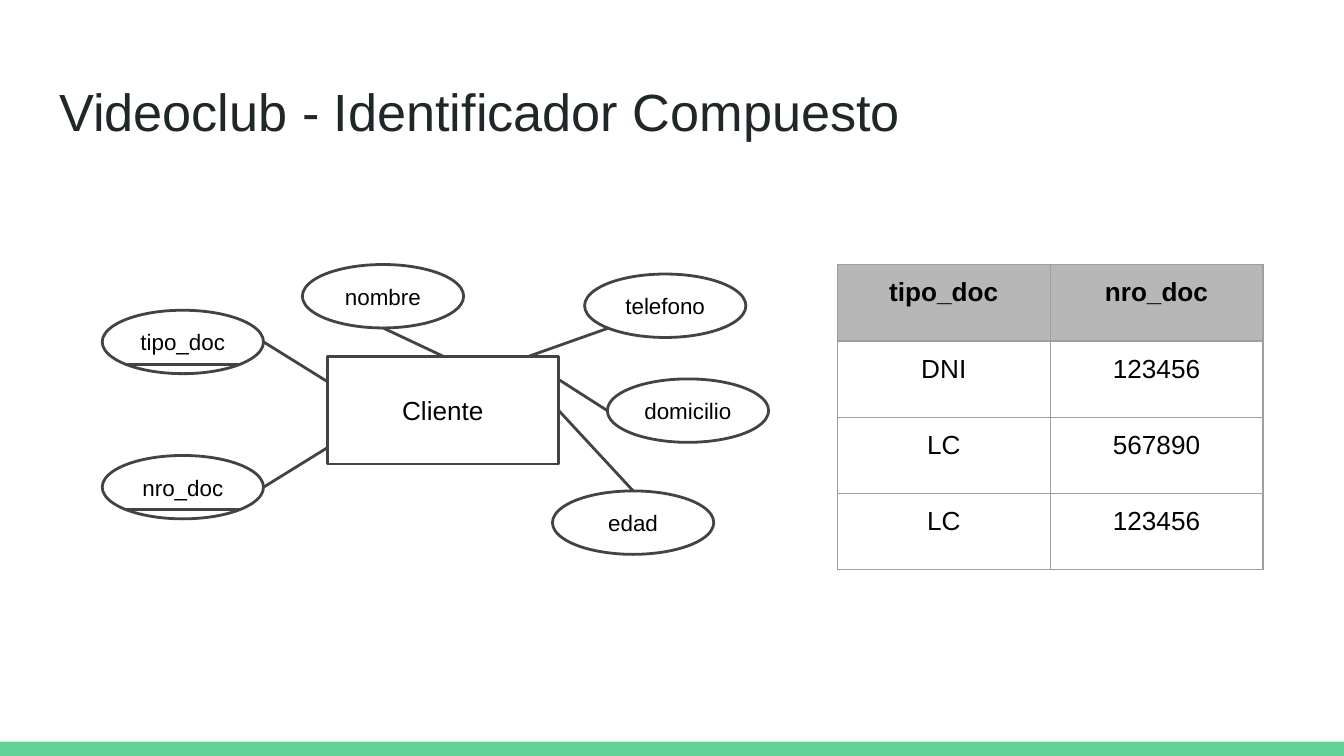
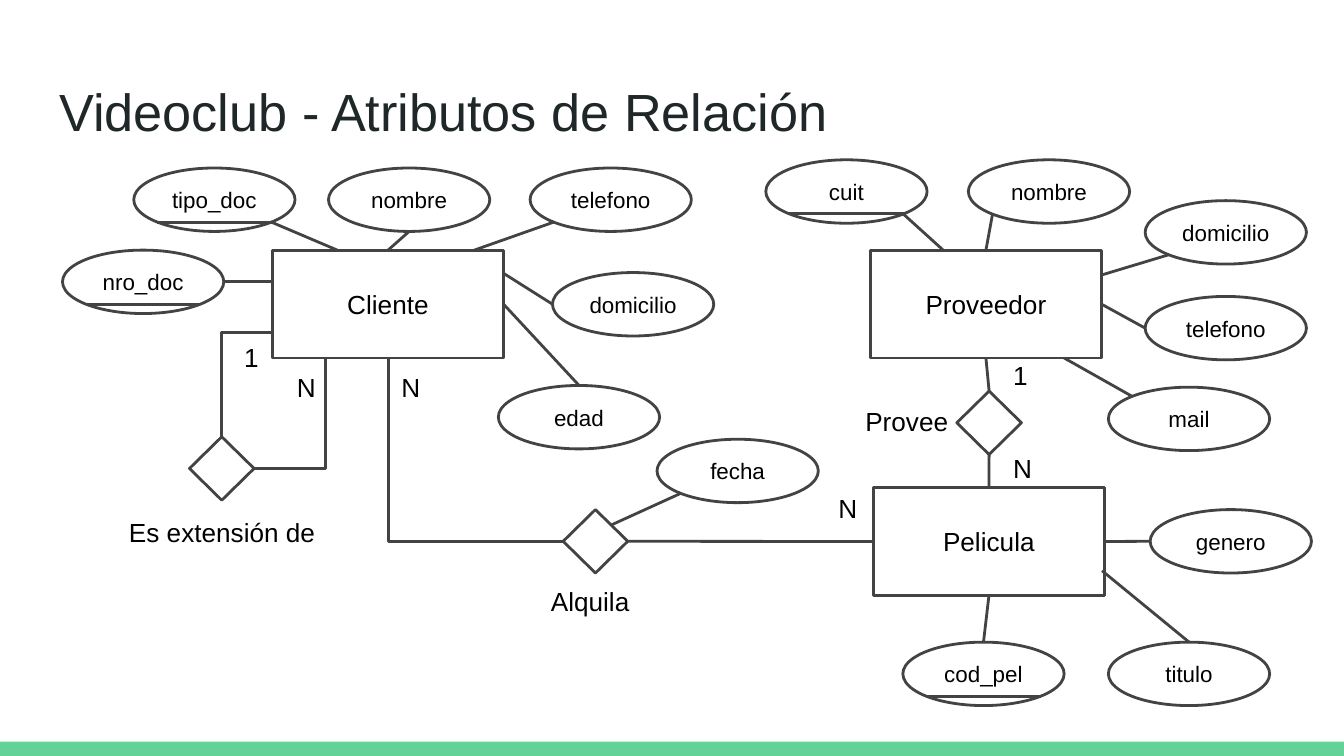
from lxml import etree
from pptx import Presentation
from pptx.dml.color import RGBColor
from pptx.enum.shapes import MSO_CONNECTOR, MSO_SHAPE
from pptx.enum.text import MSO_ANCHOR, PP_ALIGN
from pptx.oxml.ns import qn
from pptx.util import Pt

RECTANGLE = MSO_SHAPE.RECTANGLE
OVAL = MSO_SHAPE.OVAL
DIAMOND = MSO_SHAPE.FLOWCHART_DECISION
STRAIGHT = MSO_CONNECTOR.STRAIGHT
ELBOW = MSO_CONNECTOR.ELBOW
LEFT = PP_ALIGN.LEFT
CENTER = PP_ALIGN.CENTER
TOP = MSO_ANCHOR.TOP
MIDDLE = MSO_ANCHOR.MIDDLE

GREEN = RGBColor(0x63, 0xD2, 0x97)
TITLE_INK = RGBColor(0x20, 0x27, 0x29)
BLACK = RGBColor(0, 0, 0)
OUTLINE = RGBColor(0x43, 0x43, 0x43)
HEADER_GRAY = RGBColor(0xB7, 0xB7, 0xB7)
BORDER_GRAY = RGBColor(0x9E, 0x9E, 0x9E)
FONT = "Arial"

NODE_SIZE = {RECTANGLE: (123.6, 57.8), DIAMOND: (34.6, 34)}
OVAL_WIDTH, OVAL_HEIGHT = 86.4, 34
# Sides of a rectangle or diamond, as connection sites
SIDE_TOP, SIDE_LEFT, SIDE_BOTTOM, SIDE_RIGHT = range(4)
# Points on an oval, as fractions of its width and height
OVAL_SITES = {
    "n": (0.5, 0), "s": (0.5, 1), "w": (0, 0.5), "e": (1, 0.5),
    "nw": (0.15, 0.15), "sw": (0.15, 0.85), "se": (0.85, 0.85),
}

# Node: shape, name, left, top, attributes.
# Attribute: name, left, top, is key, site on the oval, and where its line
# meets the node: a side to join, or an offset from the node's corner.
IDENTIFIER_NODES = [
    (RECTANGLE, "Cliente", 175.5, 190.8, [
        ("domicilio", 325.4, 203, False, "w", (123.6, 12.4)),
        ("edad", 296, 263, False, "n", SIDE_RIGHT),
        ("telefono", 313.2, 146.8, False, "sw", (108, 0)),
        ("nombre", 162, 141.7, False, "s", SIDE_TOP),
        ("tipo_doc", 54.8, 166.2, True, "e", (0, 13.7)),
        ("nro_doc", 54.8, 244, True, "e", (0, 49)),
    ]),
]
RELATION_NODES = [
    (RECTANGLE, "Cliente", 146.1, 134, [
        ("tipo_doc", 71.7, 90, True, "se", (34.6, 0)),
        ("nro_doc", 33.5, 134, True, "e", (0, 17)),
        ("domicilio", 296, 146, False, "w", (123.6, 12.4)),
        ("edad", 267, 206.5, False, "n", SIDE_RIGHT),
        ("telefono", 284, 90, False, "sw", (108, 0)),
        ("nombre", 176, 90, False, "s", SIDE_TOP),
    ]),
    (RECTANGLE, "Proveedor", 466.4, 134, [
        ("cuit", 410.3, 85.6, True, "se", (38.9, 0)),
        ("mail", 593.8, 207.4, False, "nw", (103.7, 57.8)),
        ("telefono", 613.5, 158.8, False, "w", SIDE_RIGHT),
        ("domicilio", 613.5, 107.5, False, "sw", (123.6, 13.4)),
        ("nombre", 518.8, 85.6, False, "sw", SIDE_TOP),
    ]),
    (RECTANGLE, "Pelicula", 468, 261.2, [
        ("cod_pel", 483.7, 344, True, "n", SIDE_BOTTOM),
        ("titulo", 593.8, 344, False, "n", (122.4, 44.6)),
        ("genero", 616.2, 273, False, "w", SIDE_RIGHT),
    ]),
    (DIAMOND, "Provee", 512.6, 209.5, []),
    (DIAMOND, "Alquila", 301.7, 273, [
        ("fecha", 352, 235.3, False, "sw", (25.9, 8.2)),
    ]),
    (DIAMOND, "Es extensión de", 101.5, 234, []),
]
PAGES = [
    ("Videoclub - Identificador Compuesto", IDENTIFIER_NODES),
    ("Videoclub - Atributos de Relación", RELATION_NODES),
]
JOINS = [
    ("Provee", SIDE_TOP, "Proveedor", SIDE_BOTTOM),
    ("Provee", SIDE_BOTTOM, "Pelicula", SIDE_TOP),
    ("Alquila", SIDE_RIGHT, "Pelicula", SIDE_LEFT),
]
# Each elbow runs across first, then up or down
ELBOWS = [
    (301.7, 290, 208, 191.8),
    (146.1, 178, 118.8, 234),
    (136.1, 251, 174.2, 191.8),
]
LABELS = [
    ("Alquila", 288, 306.5, 101.5, 50.4),
    ("Provee", 456.5, 210, 114, 50.4),
    ("Es extensión de", 62, 269.3, 119, 31),
    ("N", 442, 256.3, 21.6, 34),
    ("1", 535.7, 185.5, 21.6, 34),
    ("N", 535.7, 235.3, 21.6, 34),
    ("N", 208, 191.8, 21.6, 34),
    ("N", 152, 191.8, 21.6, 34),
    ("1", 123.7, 175.8, 21.6, 34),
]
DOCUMENTS = [
    ("tipo_doc", "nro_doc"),
    ("DNI", "123456"),
    ("LC", "567890"),
    ("LC", "123456"),
]


def write(frame, text, size, align, anchor, color=BLACK, bold=False):
    frame.word_wrap = True
    frame.vertical_anchor = anchor
    frame.margin_left = frame.margin_right = Pt(7.2)
    frame.margin_top = frame.margin_bottom = Pt(7.2)
    para = frame.paragraphs[0]
    para.alignment = align
    span = para.add_run()
    span.text = text
    span.font.name = FONT
    span.font.size = Pt(size)
    span.font.bold = bold
    span.font.color.rgb = color


def add_line(page, x1, y1, x2, y2, kind=STRAIGHT):
    line = page.shapes.add_connector(kind, Pt(x1), Pt(y1), Pt(x2), Pt(y2))
    line.line.color.rgb = OUTLINE
    line.line.width = Pt(1.5)
    etree.SubElement(line._element.spPr, qn("a:effectLst"))
    return line


deck = Presentation()
deck.slide_width, deck.slide_height = Pt(720), Pt(405)
title_only = deck.slide_layouts[5]
pages = [deck.slides.add_slide(title_only) for _ in PAGES]

# The green band moves to the master, so that every page shows it
band = pages[0].shapes.add_shape(RECTANGLE, 0, Pt(397.4), Pt(720), Pt(7.6))
band.shadow.inherit = False
band.fill.solid()
band.fill.fore_color.rgb = GREEN
band.line.fill.background()
deck.slide_master.shapes._spTree.insert(2, band._element)

for page, (heading, nodes) in zip(pages, PAGES):
    title = page.shapes.title
    title.left, title.top = Pt(24.5), Pt(35.3)
    title.width, title.height = Pt(671), Pt(45.4)
    write(title.text_frame, heading, 28, LEFT, TOP, TITLE_INK)

    boxes = {}
    for shape, name, left, top, attributes in nodes:
        width, height = NODE_SIZE[shape]
        node = page.shapes.add_shape(shape, Pt(left), Pt(top), Pt(width), Pt(height))
        boxes[name] = node
        outlined = [node]
        if shape == RECTANGLE:
            write(node.text_frame, name, 14, CENTER, MIDDLE)

        for attribute, x, y, is_key, site, target in attributes:
            oval = page.shapes.add_shape(
                OVAL, Pt(x), Pt(y), Pt(OVAL_WIDTH), Pt(OVAL_HEIGHT))
            write(oval.text_frame, attribute, 12, CENTER, MIDDLE)
            outlined.append(oval)
            if is_key:
                add_line(page, x + 12.4, y + 29, x + 73.8, y + 29)
            across, down = OVAL_SITES[site]
            start_x, start_y = x + across * OVAL_WIDTH, y + down * OVAL_HEIGHT
            if isinstance(target, tuple):
                add_line(page, start_x, start_y, left + target[0], top + target[1])
            else:
                link = add_line(page, start_x, start_y, left, top)
                link.end_connect(node, target)

        for box in outlined:
            box.shadow.inherit = False
            box.fill.background()
            box.line.color.rgb = OUTLINE
            box.line.width = Pt(1.5)

identifier_page, relation_page = pages

table = identifier_page.shapes.add_table(
    len(DOCUMENTS), 2, Pt(448.6), Pt(141.8), Pt(228), Pt(163.6)).table
table.first_row = table.horz_banding = False
for column in table.columns:
    column.width = Pt(114)
for row, values in enumerate(DOCUMENTS):
    table.rows[row].height = Pt(40.9)
    for column, value in enumerate(values):
        cell = table.cell(row, column)
        is_header = row == 0
        write(cell.text_frame, value, 14, CENTER, TOP, bold=is_header)
        cell.vertical_anchor = TOP
        cell.margin_left = cell.margin_right = Pt(7.2)
        cell.margin_top = cell.margin_bottom = Pt(7.2)
        properties = cell._tc.get_or_add_tcPr()
        for side in ("a:lnL", "a:lnR", "a:lnT", "a:lnB"):
            border = etree.SubElement(properties, qn(side), w=str(Pt(0.75)))
            paint = etree.SubElement(border, qn("a:solidFill"))
            etree.SubElement(paint, qn("a:srgbClr"), val=str(BORDER_GRAY))
        if is_header:
            cell.fill.solid()
            cell.fill.fore_color.rgb = HEADER_GRAY
        else:
            cell.fill.background()

# After the loop, boxes holds the nodes of the relation page
for relation, relation_side, entity, entity_side in JOINS:
    link = add_line(relation_page, 0, 0, 0, 0)
    link.begin_connect(boxes[relation], relation_side)
    link.end_connect(boxes[entity], entity_side)
for ends in ELBOWS:
    elbow = add_line(relation_page, *ends, kind=ELBOW)
    elbow._element.spPr.find(qn("a:prstGeom")).set("prst", "bentConnector2")
for text, left, top, width, height in LABELS:
    label = relation_page.shapes.add_textbox(Pt(left), Pt(top), Pt(width), Pt(height))
    write(label.text_frame, text, 14, LEFT, TOP)

deck.save("out.pptx")
